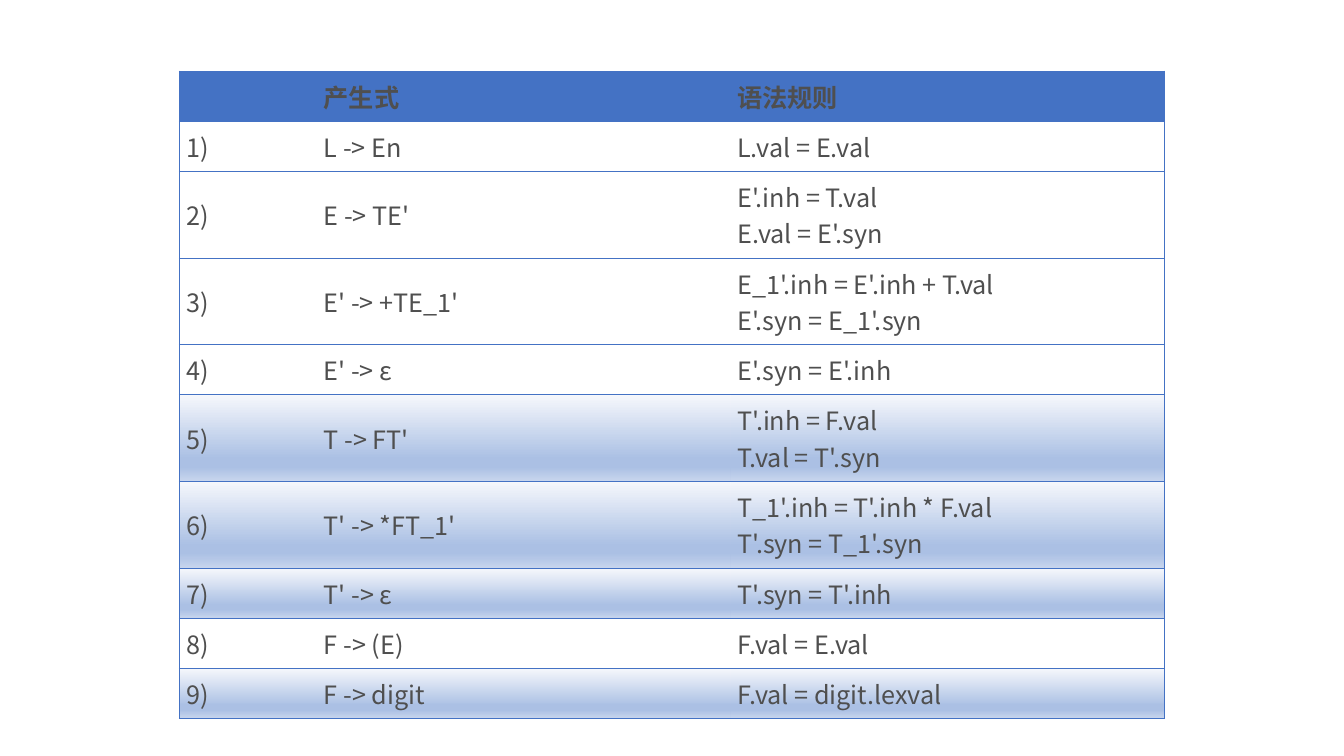
from lxml import etree
from pptx import Presentation
from pptx.dml.color import RGBColor
from pptx.enum.text import MSO_ANCHOR
from pptx.oxml.ns import qn
from pptx.util import Pt

MIDDLE = MSO_ANCHOR.MIDDLE
COLORS = {"rule": "4472C4", "header": "4472C4", "text": "4F4F4F"}
SHADE = [(0, "F6F8FC"), (74, "ABC0E4"), (83, "ABC0E4"), (100, "C7D5ED")]
HEADINGS = ["", "产生式", "语法规则"]
PRODUCTIONS = [
    ("L -> En", ["L.val = E.val"], False),
    ("E -> TE'", ["E'.inh = T.val", "E.val = E'.syn"], False),
    ("E' -> +TE_1'", ["E_1'.inh = E'.inh + T.val", "E'.syn = E_1'.syn"], False),
    ("E' -> ε", ["E'.syn = E'.inh"], False),
    ("T -> FT'", ["T'.inh = F.val", "T.val = T'.syn"], True),
    ("T' -> *FT_1'", ["T_1'.inh = T'.inh * F.val", "T'.syn = T_1'.syn"], True),
    ("T' -> ε", ["T'.syn = T'.inh"], True),
    ("F -> (E)", ["F.val = E.val"], False),
    ("F -> digit", ["F.val = digit.lexval"], True),
]


class GrammarSlide:
    """Draws grammar tables on one slide in a shared style."""

    font_name = "Noto Sans CJK SC"
    font_size = Pt(18)
    inset = Pt(4.9)
    rule_width = Pt(0.5)

    def __init__(self, presentation):
        self.slide = presentation.slides.add_slide(presentation.slide_layouts[6])

    def table(self, left, top, widths, heights):
        table = self.slide.shapes.add_table(
            len(heights), len(widths), Pt(left), Pt(top),
            Pt(sum(widths)), Pt(sum(heights))).table
        table.first_row = False
        table.horz_banding = False
        for column, width in zip(table.columns, widths):
            column.width = Pt(width)
        for row, height in zip(table.rows, heights):
            row.height = Pt(height)
        return table

    def borders(self, cell, ruled_sides):
        properties = cell._tc.get_or_add_tcPr()
        for side in "LRTB":
            line = etree.SubElement(properties, qn(f"a:ln{side}"), w=str(self.rule_width))
            if side in ruled_sides:
                fill = etree.SubElement(line, qn("a:solidFill"))
                etree.SubElement(fill, qn("a:srgbClr"), val=COLORS["rule"])
            else:
                etree.SubElement(line, qn("a:noFill"))

    def shade(self, cell):
        gradient = etree.SubElement(cell._tc.get_or_add_tcPr(), qn("a:gradFill"))
        stops = etree.SubElement(gradient, qn("a:gsLst"))
        for percent, color in SHADE:
            stop = etree.SubElement(stops, qn("a:gs"), pos=str(percent * 1000))
            etree.SubElement(stop, qn("a:srgbClr"), val=color)
        etree.SubElement(gradient, qn("a:lin"), ang="5400000", scaled="0")

    def text(self, cell, lines, bold):
        cell.vertical_anchor = MIDDLE
        cell.margin_left = cell.margin_right = self.inset
        cell.margin_top = cell.margin_bottom = self.inset
        paragraph = cell.text_frame.paragraphs[0]
        paragraph.font.size = self.font_size
        for index, line in enumerate(lines):
            if index:
                paragraph.add_line_break()
            run = paragraph.add_run()
            run.text = line
            run.font.size = self.font_size
            run.font.bold = bold
            run.font.color.rgb = RGBColor.from_string(COLORS["text"])
            run.font.name = self.font_name
            etree.SubElement(run.font._element, qn("a:ea"), typeface=self.font_name)

    def row(self, table, index, entries, header=False, shaded=False):
        for column, lines in enumerate(entries):
            cell = table.cell(index, column)
            outer = {0: "L", len(entries) - 1: "R"}.get(column, "")
            self.borders(cell, "TB" + outer)
            if header:
                cell.fill.solid()
                cell.fill.fore_color.rgb = RGBColor.from_string(COLORS["header"])
            elif shaded:
                self.shade(cell)
            else:
                cell.fill.background()
            self.text(cell, lines, header)


def main():
    presentation = Presentation()
    presentation.slide_width = Pt(960)
    presentation.slide_height = Pt(540)
    grammar = GrammarSlide(presentation)
    heights = [35.5] + [35.5 if len(rules) == 1 else 57 for _, rules, _ in PRODUCTIONS]
    table = grammar.table(128, 50.7, [98.4, 295.3, 310], heights)
    grammar.row(table, 0, [[title] if title else [] for title in HEADINGS], header=True)
    for number, (production, rules, shaded) in enumerate(PRODUCTIONS, 1):
        grammar.row(table, number, [[f"{number})"], [production], rules], shaded=shaded)
    presentation.save("out.pptx")


if __name__ == "__main__":
    main()
